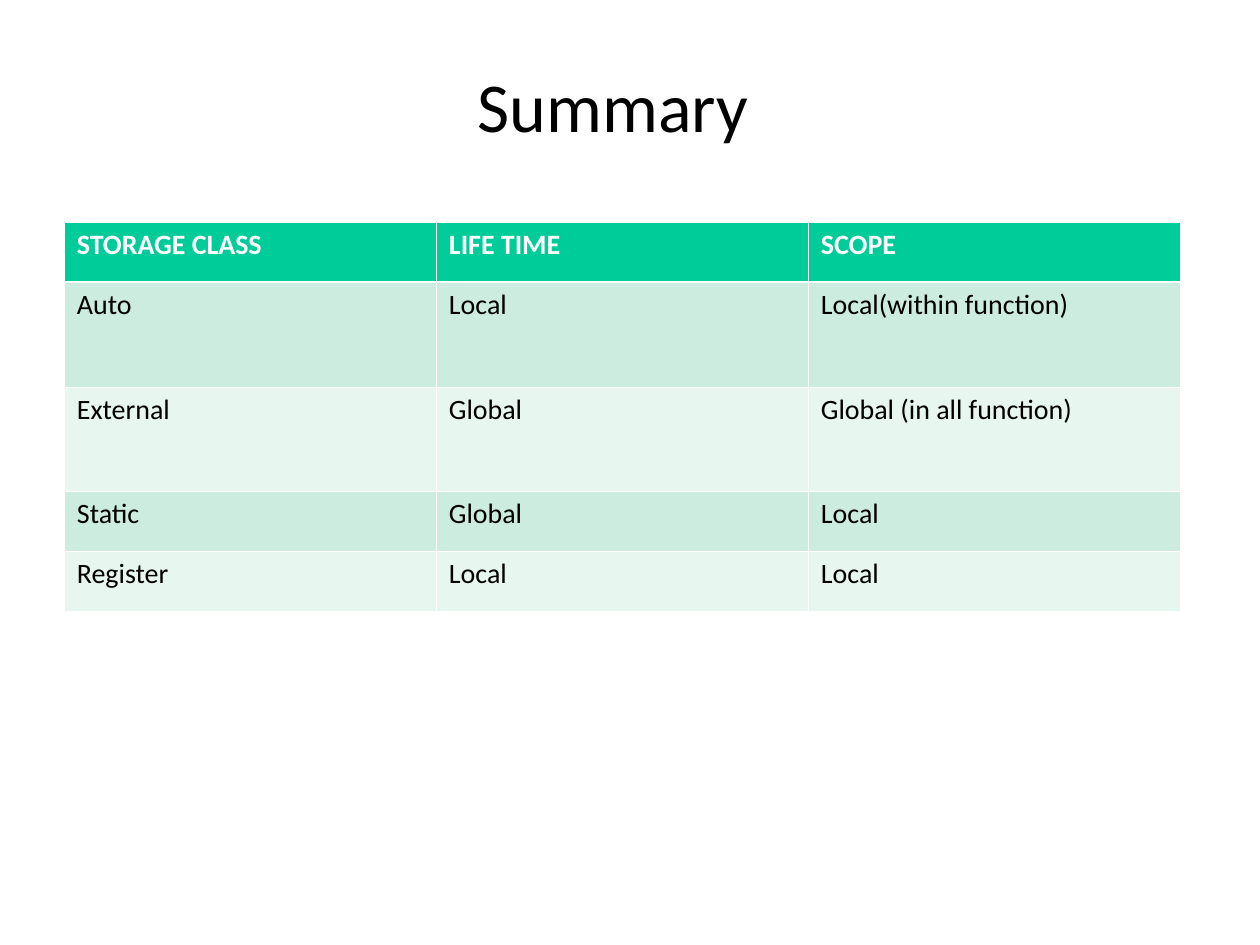
from lxml.etree import SubElement
from pptx import Presentation
from pptx.dml.color import RGBColor
from pptx.enum.text import MSO_ANCHOR, PP_ALIGN
from pptx.oxml.ns import qn
from pptx.util import Emu, Pt

FONT = "Calibri"
BLACK = RGBColor(0x00, 0x00, 0x00)
WHITE = RGBColor(0xFF, 0xFF, 0xFF)
GREEN = RGBColor(0x00, 0xCC, 0x99)
MINT = RGBColor(0xCB, 0xEC, 0xDE)
PALE = RGBColor(0xE7, 0xF6, 0xEF)
THIN, THICK = Pt(0.45), Pt(1.47)

ROWS = [
    ("STORAGE CLASS", "LIFE TIME", "SCOPE"),
    ("Auto", "Local", "Local(within function)"),
    ("External", "Global", "Global (in all function)"),
    ("Static", "Global", "Local"),
    ("Register", "Local", "Local"),
]
ROW_HEIGHTS = [60, 105, 104, 60, 60]


def px(n):
    return Emu(n * 914400 // 126)


def add_run(p, text, size, color, bold=False):
    r = p.add_run()
    r.text = text
    r.font.name = FONT
    r.font.size = Pt(size)
    r.font.bold = bold
    r.font.color.rgb = color


def set_margins(target, x, y):
    target.margin_left = target.margin_right = px(x)
    target.margin_top = target.margin_bottom = px(y)


def set_borders(cell, top, bottom):
    tcPr = cell._tc.get_or_add_tcPr()
    for side, width in (("L", THIN), ("R", THIN), ("T", top), ("B", bottom)):
        ln = SubElement(tcPr, qn(f"a:ln{side}"), w=str(width))
        fill = SubElement(ln, qn("a:solidFill"))
        SubElement(fill, qn("a:srgbClr"), val=str(WHITE))


def place_title(s, x, y, w, h):
    sp = s.shapes.title
    sp.left, sp.top, sp.width, sp.height = map(px, (x, y, w, h))
    tf = sp.text_frame
    tf.word_wrap = True
    tf.vertical_anchor = MSO_ANCHOR.MIDDLE
    set_margins(tf, 11, 6)
    p = tf.paragraphs[0]
    p.alignment = PP_ALIGN.CENTER
    p.line_spacing = 0.97
    add_run(p, "Summary ", 40, BLACK)


def fill_cell(cell, text, row):
    header = row == 0
    set_margins(cell, 13, 6)
    set_borders(cell, THICK if row == 1 else THIN, THICK if header else THIN)
    cell.fill.solid()
    cell.fill.fore_color.rgb = GREEN if header else MINT if row % 2 else PALE
    p = cell.text_frame.paragraphs[0]
    add_run(p, text, 16, WHITE if header else BLACK, header)


def place_table(s, x, y, w):
    cols = len(ROWS[0])
    frame = s.shapes.add_table(
        len(ROWS), cols, px(x), px(y), px(w), px(sum(ROW_HEIGHTS))
    )
    table = frame.table
    for col in table.columns:
        col.width = px(w // cols)
    for i, (texts, height) in enumerate(zip(ROWS, ROW_HEIGHTS)):
        table.rows[i].height = px(height)
        for j, text in enumerate(texts):
            fill_cell(table.cell(i, j), text, i)


def main():
    prs = Presentation()
    prs.slide_width, prs.slide_height = px(1260), px(945)
    s = prs.slides.add_slide(prs.slide_layouts[5])
    place_title(s, 63, 38, 1116, 141)
    place_table(s, 64, 222, 1116)
    prs.save("out.pptx")


if __name__ == "__main__":
    main()
